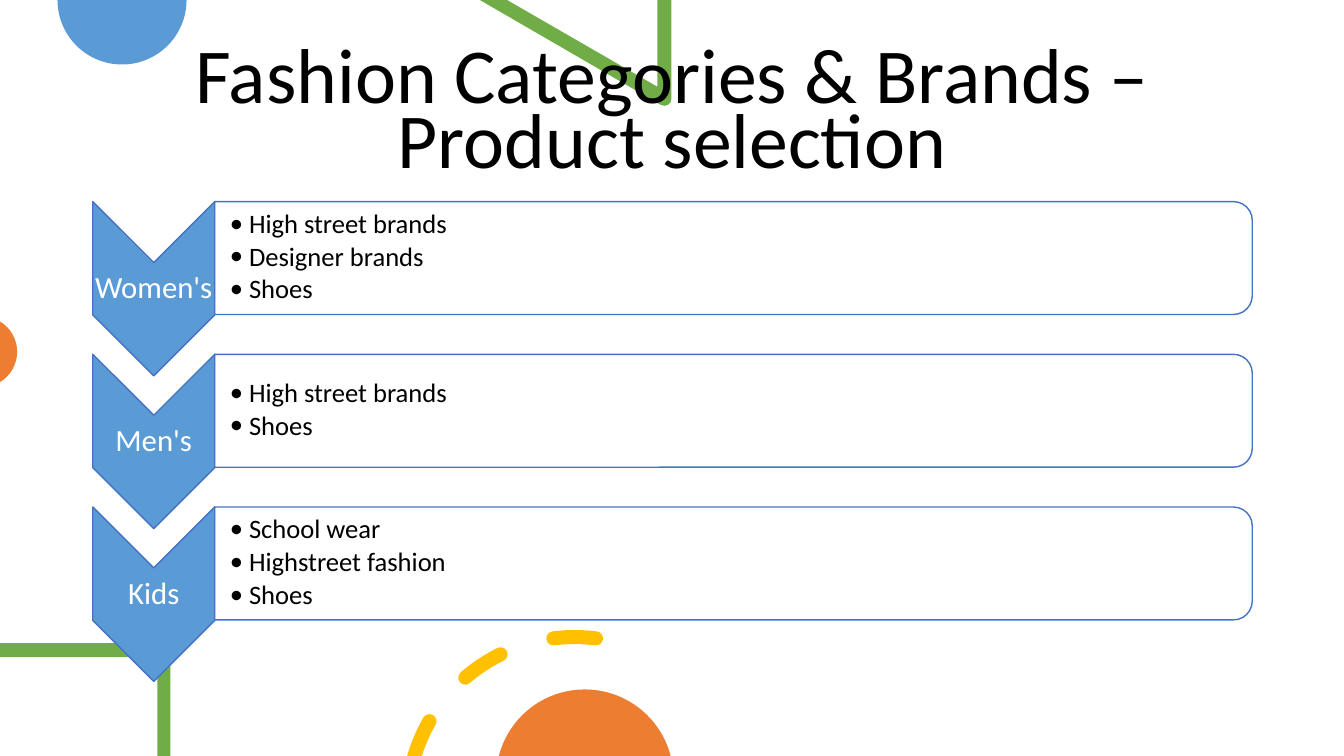
import math

import lxml.etree
import pptx
import pptx.dml.color
import pptx.enum.shapes
import pptx.enum.text
import pptx.oxml.ns
import pptx.util

Inches = pptx.util.Inches
Shape = pptx.enum.shapes.MSO_SHAPE
Align = pptx.enum.text.PP_ALIGN
Anchor = pptx.enum.text.MSO_ANCHOR
qualified = pptx.oxml.ns.qn

BLUE, GREEN, ORANGE, YELLOW = "5B9BD5", "70AD47", "ED7D31", "FFC000"
OUTLINE, WHITE, BLACK = "4472C4", "FFFFFF", "000000"

CATEGORIES = [
    ("Women's", ["High street brands", "Designer brands", "Shoes"]),
    ("Men's", ["High street brands", "Shoes"]),
    ("Kids", ["School wear", "Highstreet fashion", "Shoes"]),
]


def color(hex_string):
    return pptx.dml.color.RGBColor.from_string(hex_string)


def add_child(parent, tag, **attributes):
    return lxml.etree.SubElement(parent, qualified(tag), **attributes)


def paint(shape, fill):
    shape.shadow.inherit = False
    shape.fill.solid()
    shape.fill.fore_color.rgb = color(fill)


def write_text(frame, lines, size, hex_color=BLACK, align=Align.LEFT, anchor=Anchor.MIDDLE,
               spacing=0.9, after=0, insets=(0.1, 0.05, 0.1, 0.05), bullet_indent=0):
    """Fill a text frame with one paragraph per line; insets run left, top, right, bottom."""
    frame.word_wrap = True
    frame.auto_size = pptx.enum.text.MSO_AUTO_SIZE.NONE
    frame.vertical_anchor = anchor
    (frame.margin_left, frame.margin_top,
     frame.margin_right, frame.margin_bottom) = map(Inches, insets)
    for index, line in enumerate(lines):
        paragraph = frame.add_paragraph() if index else frame.paragraphs[0]
        paragraph.alignment = align
        paragraph.line_spacing = spacing
        paragraph.space_before = pptx.util.Pt(0)
        paragraph.space_after = pptx.util.Pt(after)
        run = paragraph.add_run()
        run.text = line
        run.font.name = "Calibri"
        run.font.size = pptx.util.Pt(size)
        run.font.color.rgb = color(hex_color)
        if bullet_indent:
            properties = paragraph._p.get_or_add_pPr()
            properties.set("marL", str(Inches(bullet_indent)))
            properties.set("indent", str(-Inches(bullet_indent)))
            add_child(properties, "a:buFont", typeface="Calibri")
            add_child(properties, "a:buChar", char="•")


def polar(center, radius, degrees):
    """A point on a circle, in degrees clockwise from the right."""
    angle = math.radians(degrees)
    return center[0] + radius * math.cos(angle), center[1] + radius * math.sin(angle)


def arc(center, radius, start, end):
    """The start point, then Bezier curves as (control, control, end) of at most 90 degrees."""
    count = math.ceil(abs(end - start) / 90)
    step = (end - start) / count
    handle = math.tan(math.radians(step / 4)) * 4 / 3
    reach = radius * math.hypot(1, handle)
    lean = math.degrees(math.atan(handle))
    steps = [polar(center, radius, start)]
    for index in range(count):
        first, last = start + index * step, start + (index + 1) * step
        steps.append((polar(center, reach, first + lean), polar(center, reach, last - lean),
                      polar(center, radius, last)))
    return steps


def add_outline(slide, contours, hex_color):
    """One freeform of closed contours, each a start point followed by points and curves."""
    def end_point(step):
        x, y = step[-1] if len(step) == 3 else step
        return Inches(x), Inches(y)

    builder = slide.shapes.build_freeform(*end_point(contours[0][0]))
    for index, contour in enumerate(contours):
        if index:
            builder.move_to(*end_point(contour[0]))
        builder.add_line_segments([end_point(step) for step in contour[1:]], close=True)
    shape = builder.convert_to_shape()
    paint(shape, hex_color)
    shape.line.fill.background()

    segments = shape.element.findall(".//" + qualified("a:lnTo"))
    steps = [step for contour in contours for step in contour[1:]]
    for segment, step in zip(segments, steps):
        if len(step) == 3:
            curve = lxml.etree.Element(qualified("a:cubicBezTo"))
            for x, y in step[:2]:
                add_child(curve, "a:pt", x=str(Inches(x) - shape.left),
                          y=str(Inches(y) - shape.top))
            curve.append(segment[0])
            segment.getparent().replace(segment, curve)


def dash(center, radius, start, end, cut=0):
    """The contour of a curved dash with round ends; a cut angle makes the start flat."""
    half = 0.07
    contour = arc(center, radius + half, start, end)
    contour += arc(polar(center, radius, end), half, end, end + 180)[1:]
    contour += arc(center, radius - half, end, start + cut)[1:]
    if not cut:
        contour += arc(polar(center, radius, start), half, start + 180, start + 360)[1:]
    return contour


def add_decoration(slide, height):
    half = 0.07
    add_outline(slide, [arc((1.21, 0), 0.64, 0, 180)], BLUE)
    add_outline(slide, [[(4.76, 0), (5.03, 0), (6.52, 0.86), (6.52, 0), (6.66, 0)]
                        + arc((6.59, 0.98), half, 0, 120)], GREEN)
    add_outline(slide, [arc((-0.18, 3.49), 0.35, -59, 59)], ORANGE)
    add_outline(slide, [[(0, 6.38)] + arc((1.62, 6.45), half, -90, 0)
                        + [(1.69, height), (1.56, height), (1.56, 6.52), (0, 6.52)]], GREEN)

    ring = (5.7, 7.98), 1.66
    add_outline(slide, [dash(*ring, 196.1, 209.8, cut=1.5), dash(*ring, 229.2, 243.7),
                        dash(*ring, 262.7, 277.3)], YELLOW)
    add_outline(slide, [arc((5.8, 7.72), 0.88, 194.5, 345.5)], ORANGE)


def add_title(slide, left, top, width, height):
    title = slide.shapes.title
    title.left, title.top, title.width, title.height = map(Inches, (left, top, width, height))
    title.element.getparent().append(title.element)
    write_text(title.text_frame, ["Fashion Categories & Brands – Product selection"], 55.5,
               align=Align.CENTER, anchor=Anchor.BOTTOM, spacing=0.7)


def add_turned_shape(slide, kind, left, top, width, height, fill):
    """A shape turned a quarter clockwise that covers the given box."""
    shift = (width - height) / 2
    shape = slide.shapes.add_shape(
        kind, *map(Inches, (left + shift, top - shift, height, width)))
    shape.rotation = 90
    paint(shape, fill)
    shape.line.color.rgb = color(OUTLINE)
    shape.line.width = pptx.util.Pt(1)
    return shape


def add_text_box(slide, left, top, width, height, lines, size, **text_format):
    box = slide.shapes.add_textbox(*map(Inches, (left, top, width, height)))
    write_text(box.text_frame, lines, size, **text_format)


def add_category(slide, left, top, width, height, name, items):
    arrow_width, panel_height = 1.21, 1.12
    point = arrow_width / 2
    panel_left, panel_width = left + arrow_width, width - arrow_width

    add_turned_shape(slide, Shape.CHEVRON, left, top, arrow_width, height, BLUE)
    add_text_box(slide, left, top + point, arrow_width, height - 2 * point, [name], 22,
                 hex_color=WHITE, align=Align.CENTER, insets=(0.02,) * 4)

    panel = add_turned_shape(slide, Shape.ROUND_2_SAME_RECTANGLE,
                             panel_left, top, panel_width, panel_height, WHITE)
    fill_color = panel.element.spPr.find(".//" + qualified("a:srgbClr"))
    add_child(fill_color, "a:alpha", val="90000")
    add_text_box(slide, panel_left, top + 0.05, panel_width - 0.05, panel_height - 0.11,
                 items, 19, after=2.85, insets=(0.15, 0.01, 0.01, 0.01), bullet_indent=0.19)


def add_category_list(slide, left, top, width, height):
    row_height = 1.73
    pitch = (height - row_height) / (len(CATEGORIES) - 1)
    for index, (name, items) in enumerate(CATEGORIES):
        add_category(slide, left, top + index * pitch, width, row_height, name, items)


def main():
    width, height = 13.33, 7.5
    presentation = pptx.Presentation()
    presentation.slide_width, presentation.slide_height = Inches(width), Inches(height)
    slide = presentation.slides.add_slide(presentation.slide_layouts[5])
    add_decoration(slide, height)
    add_title(slide, 0.92, 0.4, 11.5, 1.45)
    add_category_list(slide, 0.92, 2, 11.5, 4.76)
    presentation.save("out.pptx")


if __name__ == "__main__":
    main()
